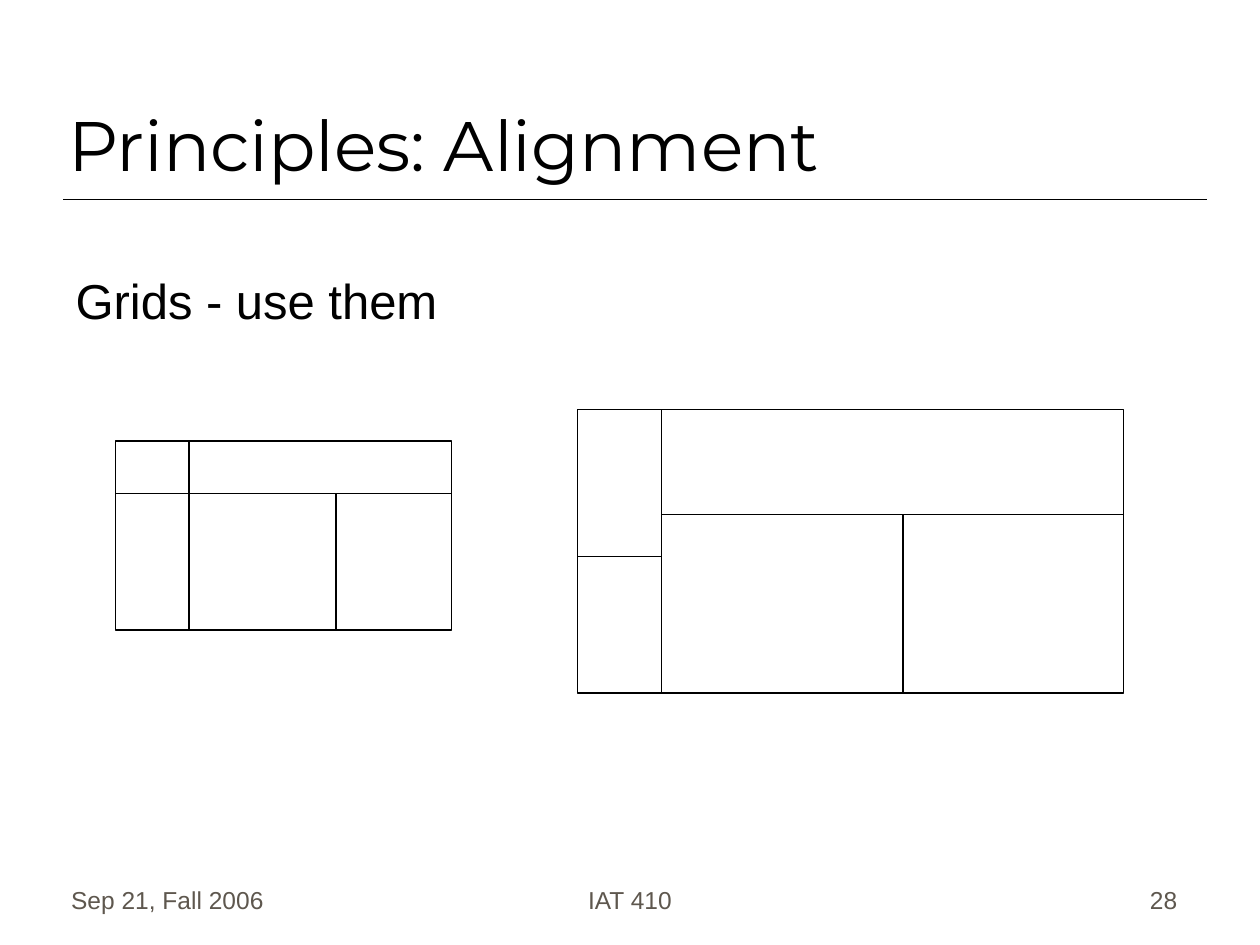
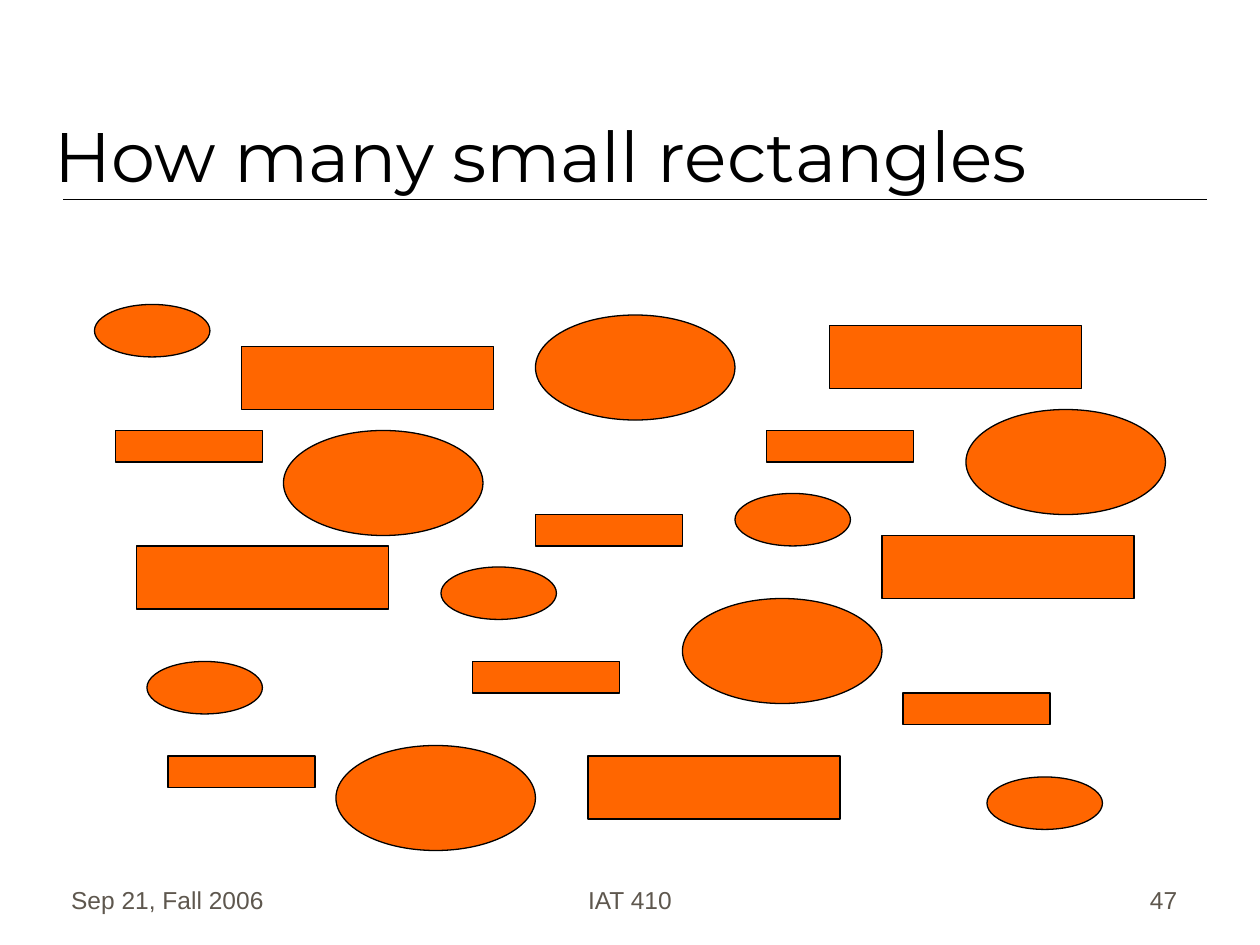
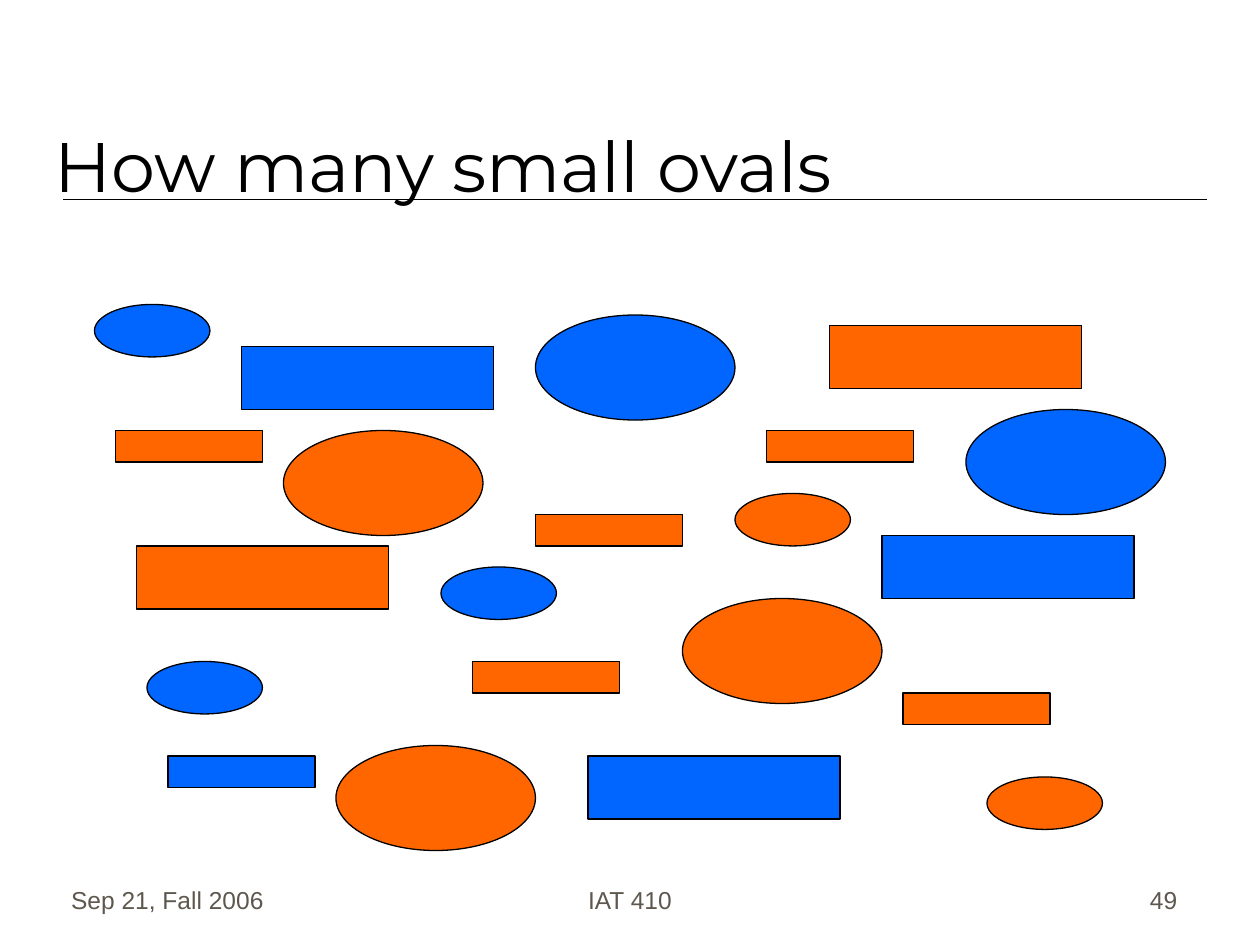
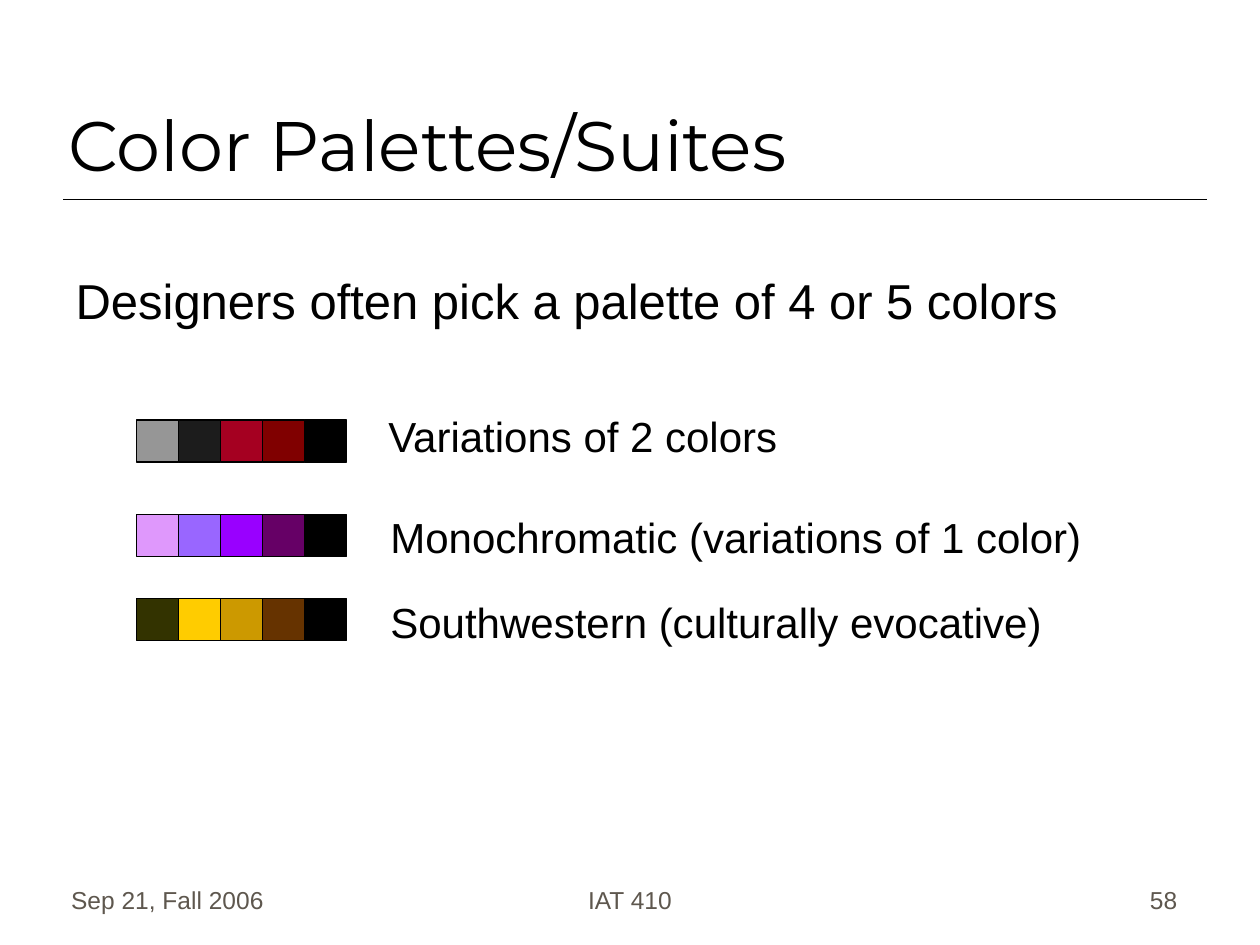
from dataclasses import dataclass

from lxml import etree
from pptx import Presentation
from pptx.dml.color import RGBColor
from pptx.enum.shapes import MSO_CONNECTOR, MSO_SHAPE
from pptx.enum.text import MSO_ANCHOR, MSO_AUTO_SIZE, PP_ALIGN
from pptx.oxml.ns import qn
from pptx.util import Emu, Pt

RECT, OVAL = MSO_SHAPE.RECTANGLE, MSO_SHAPE.OVAL
STRAIGHT = MSO_CONNECTOR.STRAIGHT
LEFT, CENTER, RIGHT = PP_ALIGN.LEFT, PP_ALIGN.CENTER, PP_ALIGN.RIGHT
TOP, BOTTOM = MSO_ANCHOR.TOP, MSO_ANCHOR.BOTTOM
GROW = MSO_AUTO_SIZE.SHAPE_TO_FIT_TEXT

EMU_PER_PX = 7620  # 120 px to the inch
TITLE_AND_BODY, TITLE_ONLY = 1, 5  # layouts of the template


@dataclass(frozen=True)
class Theme:
    ink: str = "000000"
    paper: str = "FFFFFF"
    muted: str = "5E574E"
    orange: str = "FF6600"
    blue: str = "0066FF"
    title_font: str = "Montserrat"
    text_font: str = "Arial"
    title_size: int = 40
    body_size: int = 28
    caption_size: int = 24
    footer_size: int = 14
    outline: float = 0.75
    rule: float = 1


THEME = Theme()

# Figures to count: shape, width, height, corners
FIGURES = [
    (RECT, 240, 60, [(230, 330), (560, 720), (840, 510), (130, 520), (790, 310)]),
    (RECT, 140, 30, [(110, 410), (510, 490), (860, 660), (450, 630), (730, 410), (160, 720)]),
    (OVAL, 190, 100, [(510, 300), (270, 410), (320, 710), (920, 390), (650, 570)]),
    (OVAL, 110, 50, [(90, 290), (420, 540), (940, 740), (140, 630), (700, 470)]),
]
BLUE_CORNERS = {
    (230, 330), (560, 720), (840, 510), (160, 720), (510, 300),
    (920, 390), (90, 290), (420, 540), (140, 630),
}

# Palettes: top of the swatches, colours, caption, caption corner
PALETTES = [
    (400, ["969696", "1C1C1C", "A50021", "800000", "000000"],
     "Variations of 2 colors", (358, 385, 397, 60)),
    (490, ["DF98FC", "9966FF", "9900FF", "660066", "000000"],
     "Monochromatic (variations of 1 color)", (360, 481, 682, 60)),
    (570, ["333300", "FFCC00", "CC9900", "663300", "000000"],
     "Southwestern (culturally evocative)", (360, 562, 644, 60)),
]


def px(*lengths):
    return [Emu(length * EMU_PER_PX) for length in lengths]


def color(code):
    return RGBColor.from_string(code)


# Text
def write(box, text, size, font=THEME.text_font, ink=THEME.ink, align=LEFT, anchor=TOP):
    frame = box.text_frame
    frame.vertical_anchor = anchor
    para = frame.paragraphs[0]
    para.alignment = align
    para.space_before = Pt(0)
    span = para.add_run()
    span.text = text
    span.font.size = Pt(size)
    span.font.name = font
    span.font.color.rgb = color(ink)
    return para


def place(box, area):
    box.left, box.top, box.width, box.height = px(*area)


def add_text(page, area, text, size, wrap=True, **style):
    box = page.shapes.add_textbox(*px(*area))
    box.text_frame.word_wrap = wrap
    if not wrap:
        box.text_frame.auto_size = GROW
    write(box, text, size, **style)


def add_body(page, text):
    box = page.placeholders[1]
    place(box, (60, 247, 1073, 547))
    [box.text_frame.margin_top] = px(11)
    para = write(box, text, THEME.body_size)
    props = para._p.get_or_add_pPr()
    [indent] = px(45)
    props.set("marL", str(indent))
    props.set("indent", str(-indent))
    etree.SubElement(props, qn("a:buNone"))


# Shapes and lines
def add_figure(page, kind, area, fill):
    figure = page.shapes.add_shape(kind, *px(*area))
    figure.shadow.inherit = False
    figure.fill.solid()
    figure.fill.fore_color.rgb = color(fill)
    figure.line.color.rgb = color(THEME.ink)
    figure.line.width = Pt(THEME.outline)


def add_line(page, ends, width=THEME.outline):
    line = page.shapes.add_connector(STRAIGHT, *px(*ends))
    line.line.color.rgb = color(THEME.ink)
    line.line.width = Pt(width)
    etree.SubElement(line.element.spPr, qn("a:effectLst"))
    return line


def add_grid(page, frame, dividers):
    add_figure(page, RECT, frame, THEME.paper)
    for ends in dividers:
        add_line(page, ends)


def add_figures(page, blue_corners=frozenset()):
    for kind, width, height, corners in FIGURES:
        for corner in corners:
            fill = THEME.blue if corner in blue_corners else THEME.orange
            add_figure(page, kind, (*corner, width, height), fill)


def add_palette(page, top, fills, caption, area, left=130, side=40):
    for index, fill in enumerate(fills):
        add_figure(page, RECT, (left + index * side, top, side, side), fill)
    add_text(page, area, caption, THEME.caption_size, wrap=False)


# Shared page frame
def add_page(deck, layout, title, number, title_area=(53, 30, 1020, 150)):
    page = deck.slides.add_slide(deck.slide_layouts[layout])
    place(page.shapes.title, title_area)
    [page.shapes.title.text_frame.margin_bottom] = px(3)
    write(page.shapes.title, title, THEME.title_size, THEME.title_font, anchor=BOTTOM)
    footers = [
        (56, 250, "Sep 21, Fall 2006", LEFT),
        (410, 380, "IAT 410", CENTER),
        (883, 250, str(number), RIGHT),
    ]
    for left, width, text, align in footers:
        add_text(page, (left, 817, width, 60), text, THEME.footer_size,
                 ink=THEME.muted, align=align, anchor=BOTTOM)
    return page


def add_master_rule(deck, page):
    """Draw the rule under the title and move it to the slide master."""
    rule = add_line(page, (60, 190, 1150, 190), THEME.rule)
    deck.slide_master.shapes.element.append(rule.element)


def main():
    deck = Presentation()
    deck.slide_width, deck.slide_height = px(1200, 900)

    # Alignment grids
    page = add_page(deck, TITLE_AND_BODY, "Principles: Alignment", 28)
    add_master_rule(deck, page)
    add_body(page, "Grids - use them")
    add_grid(page, (110, 420, 320, 180), [
        (180, 420, 180, 600), (320, 470, 320, 600), (110, 470, 430, 470)])
    add_grid(page, (550, 390, 520, 270), [
        (630, 390, 630, 660), (630, 490, 1070, 490),
        (860, 490, 860, 660), (550, 530, 630, 530)])

    # Counting in one colour, then in two
    page = add_page(deck, TITLE_ONLY, "How many small rectangles", 47, (40, 50, 1050, 140))
    add_figures(page)
    page = add_page(deck, TITLE_ONLY, "How many small ovals", 49, (40, 50, 1020, 150))
    add_figures(page, BLUE_CORNERS)

    # Colour palettes
    page = add_page(deck, TITLE_AND_BODY, "Color Palettes/Suites", 58)
    add_body(page, "Designers often pick a palette of 4 or 5 colors")
    for palette in PALETTES:
        add_palette(page, *palette)

    deck.save("out.pptx")


if __name__ == "__main__":
    main()
